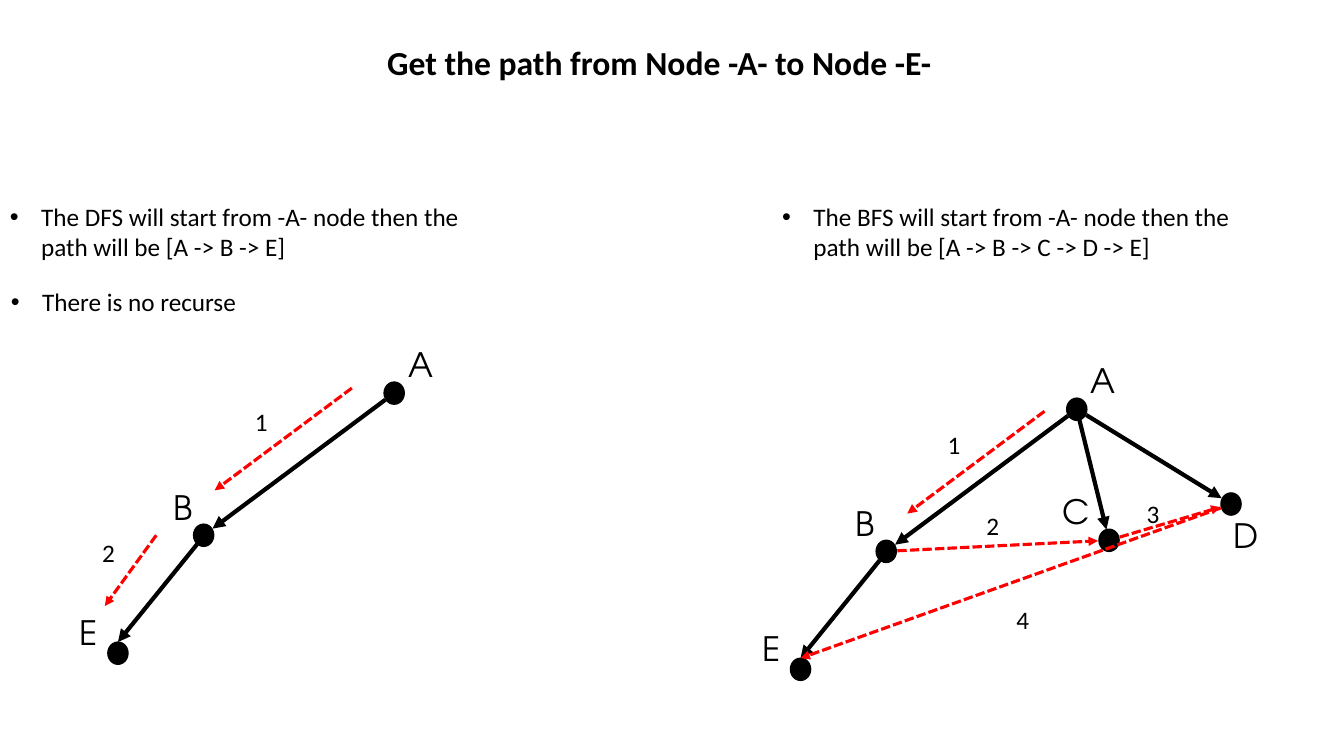
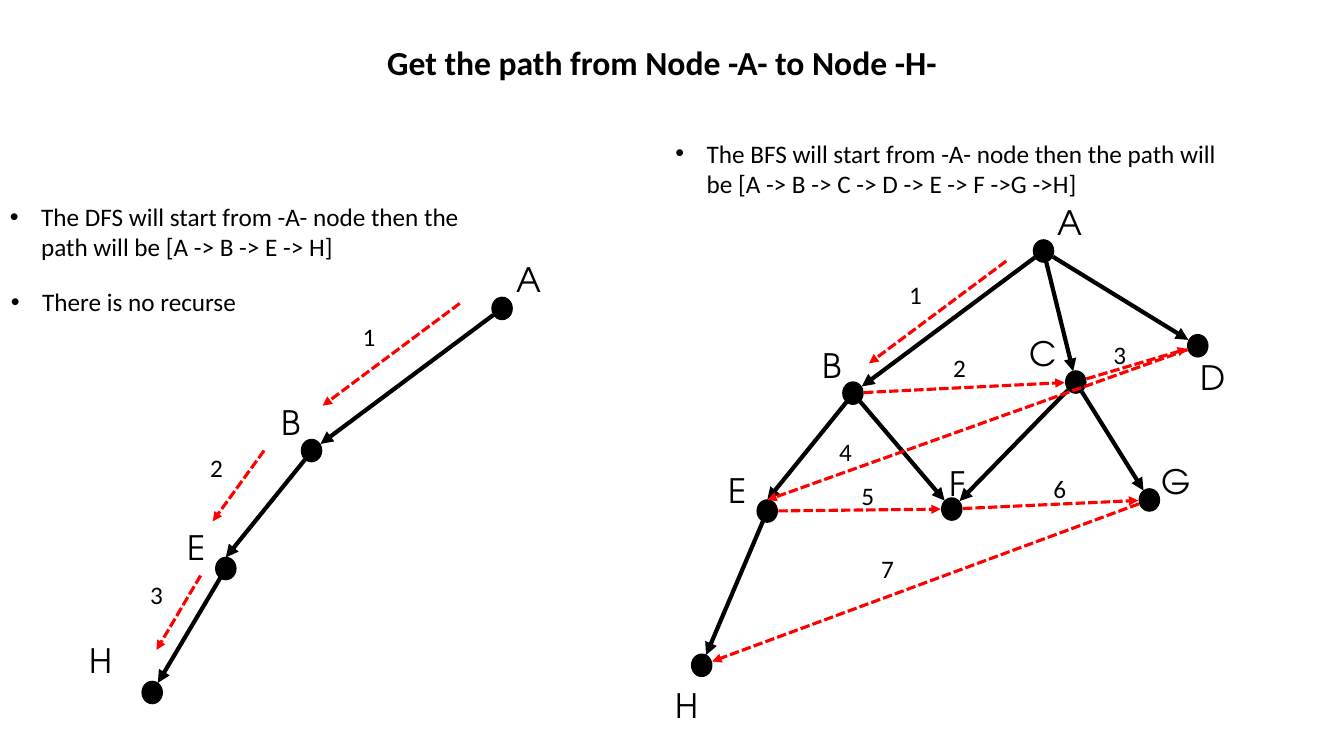
from math import hypot
from pptx import Presentation
from pptx.util import Inches, Pt
from pptx.dml.color import RGBColor
from pptx.enum.dml import MSO_LINE
from pptx.enum.shapes import MSO_SHAPE, MSO_CONNECTOR
from pptx.enum.text import MSO_ANCHOR, MSO_AUTO_SIZE, PP_ALIGN
from pptx.oxml.ns import qn
from lxml.etree import SubElement as Sub

BLACK, RED = "000000", "FF0000"
BODY, LABEL = "Calibri", "TeX Gyre Adventor"
DOT_W, DOT_H, GAP = 0.2, 0.22, 0.11
rgb = RGBColor.from_string

# node: offset from A, then offset of its label from the dot
nodes = {
    "A": (0, 0, 0.04, -0.54),
    "B": (-1.89, 1.41, -0.4, -0.53),
    "C": (0.32, 1.3, -0.56, -0.54),
    "D": (1.53, 0.94, -0.07, 0.06),
    "E": (-2.74, 2.58, -0.48, -0.46),
    "F": (-0.91, 2.56, -0.12, -0.51),
    "G": (1.05, 2.47, 0.02, -0.44),
    "H": (-3.43, 3.96, -0.54, -0.2),
}
ends_h = {"left": (-3.47, 3.81, -0.72, -0.57), "right": (-3.39, 4.11, -0.36, 0.15)}
lanes = {"BE": (-0.47, 0, 0.6), "EH": (-0.25, 0.07, 0.6)}
tags = {"BC": (-0.21, -0.4), "CD": (-0.33, -0.29), "DE": (-0.04, 0.16),
        "EF": (-0.08, -0.34), "FG": (-0.07, -0.36), "GH": (-0.54, -0.34)}

slides = [
    ("E", [
        ("left", "DFS", "A -> B -> E", (0, 1.95, 5.1), (3.91, 3.9), (-0.42, -0.05),
         "AB BE", "AB BE", {}),
        ("right", "BFS", "A -> B -> C -> D -> E", (7.66, 1.95, 5.1), (10.68, 4.06), (-0.32, 0.02),
         "AB BE AC AD", "AB BC CD DE", {}),
    ]),
    ("H", [
        ("left", "DFS", "A -> B -> E -> H", (0, 1.95, 5.1), (4.98, 3.06), (-0.42, -0.05),
         "AB BE EH", "AB BE EH", {}),
        ("right", "BFS", "A -> B -> C -> D -> E -> F ->G ->H", (6.6, 1.32, 5.59), (10.35, 2.49), (-0.37, 0.1),
         "AB BE EH BF AC CF CG AD", "AB BC CD DE EF FG GH", {"DE": (-1.47, 0.06)}),
    ]),
]


def write(box, place, text, size=18, face=BODY):
    box.left, box.top, box.width, box.height = map(Inches, place)
    frame = box.text_frame
    frame.text = text
    frame.word_wrap = True
    frame.auto_size = MSO_AUTO_SIZE.NONE
    frame.vertical_anchor = MSO_ANCHOR.TOP
    para = frame.paragraphs[0]
    para.alignment = PP_ALIGN.LEFT
    para.font.size = Pt(size)
    para.font.name = face
    para.font.color.rgb = rgb(BLACK)
    return para


def arrow(shapes, hop, spots, color, width, lane=None):
    (x1, y1), (x2, y2) = (spots[name] for name in hop)
    dx, dy = x2 - x1, y2 - y1
    if lane:
        x1, y1 = x1 + lane[0], y1 + lane[1]
        x2, y2 = x1 + dx * lane[2], y1 + dy * lane[2]
    else:
        ux, uy = GAP * dx / hypot(dx, dy), GAP * dy / hypot(dx, dy)
        x1, y1 = x1 + ux, y1 + uy
        x2, y2 = (x2, y2 - GAP) if hop[1] == "E" else (x2 - ux, y2 - uy)
    link = shapes.add_connector(MSO_CONNECTOR.STRAIGHT, *map(Inches, (x1, y1, x2, y2)))
    link.line.color.rgb = rgb(color)
    link.line.width = Pt(width)
    if color == RED:
        link.line.dash_style = MSO_LINE.SQUARE_DOT
    Sub(link.line._get_or_add_ln(), qn("a:tailEnd"), type="triangle")
    Sub(link._element.spPr, qn("a:effectLst"))
    return (x1 + x2) / 2, (y1 + y2) / 2


deck = Presentation()
deck.slide_width, deck.slide_height = Inches(13.33), Inches(7.5)

for goal, graphs in slides:
    shapes = deck.slides.add_slide(deck.slide_layouts[5]).shapes
    head = write(shapes.title, (3.74, 0.37, 6.07, 0.5), f"Get the path from Node -A- to Node -{goal}-", 24)
    head.font.bold = True

    notes = [((*place, 0.71), f"The {kind} will start from -A- node then the path will be [{route}]")
             for _, kind, route, place, *_ in graphs]
    notes.append(((0.01, 2.79, 5.1, 0.4), "There is no recurse"))
    for place, text in notes:
        para = write(shapes.add_textbox(0, 0, 0, 0), place, text)
        props = para._p.get_or_add_pPr()
        props.set("marL", str(Inches(0.31)))
        props.set("indent", str(Inches(-0.31)))
        for tag, attrs in (("a:buFont", {"typeface": "Arial"}), ("a:buChar", {"char": "•"})):
            props.insert_element_before(Sub(props, qn(tag), attrs), "a:defRPr")

    for side, _, _, _, (left, top), lane, edges, walk, moved in graphs:
        plan = {**nodes, "H": ends_h[side]}
        spots = {name: (left + x, top + y) for name, (x, y, *_) in plan.items()}
        for hop in edges.split():
            arrow(shapes, hop, spots, BLACK, 3)

        for name in sorted(set(edges) - {" "}):
            x, y = spots[name]
            dot = shapes.add_shape(MSO_SHAPE.OVAL, Inches(x - DOT_W / 2), Inches(y - DOT_H / 2),
                                   Inches(DOT_W), Inches(DOT_H))
            dot.shadow.inherit = False
            dot.fill.solid()
            dot.fill.fore_color.rgb = rgb(BLACK)
            dot.line.color.rgb = rgb(BLACK)
            dot.line.width = Pt(1)
            dx, dy = plan[name][2:]
            write(shapes.add_textbox(0, 0, 0, 0), (x + dx, y + dy, 0.41, 0.5), name, 24, LABEL)

        paths = {**lanes, "AB": (*lane, 0.72)}
        for step, hop in enumerate(walk.split(), 1):
            x, y = arrow(shapes, hop, spots, RED, 2.25, paths.get(hop))
            dx, dy = {**tags, **moved}.get(hop, (-0.38, -0.38))
            write(shapes.add_textbox(0, 0, 0, 0), (x + dx, y + dy, 0.3, 0.4), str(step))

deck.save("out.pptx")
